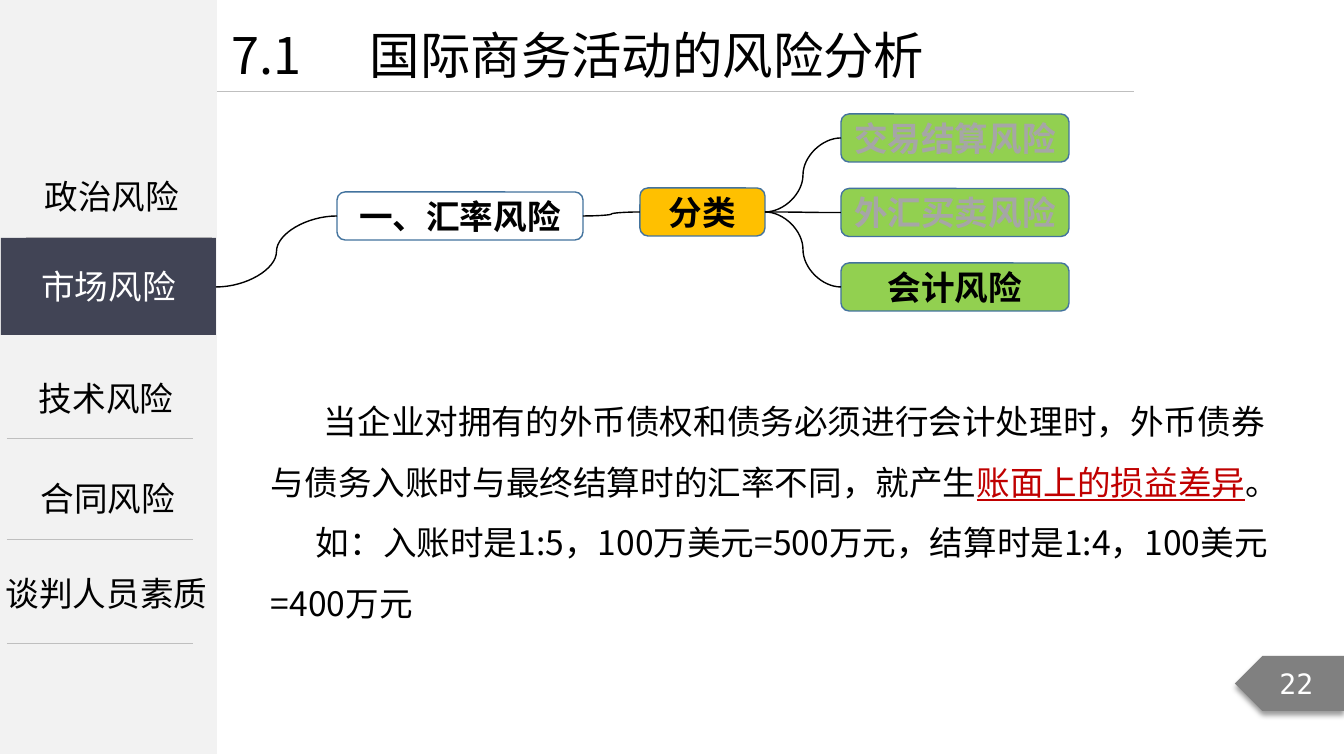
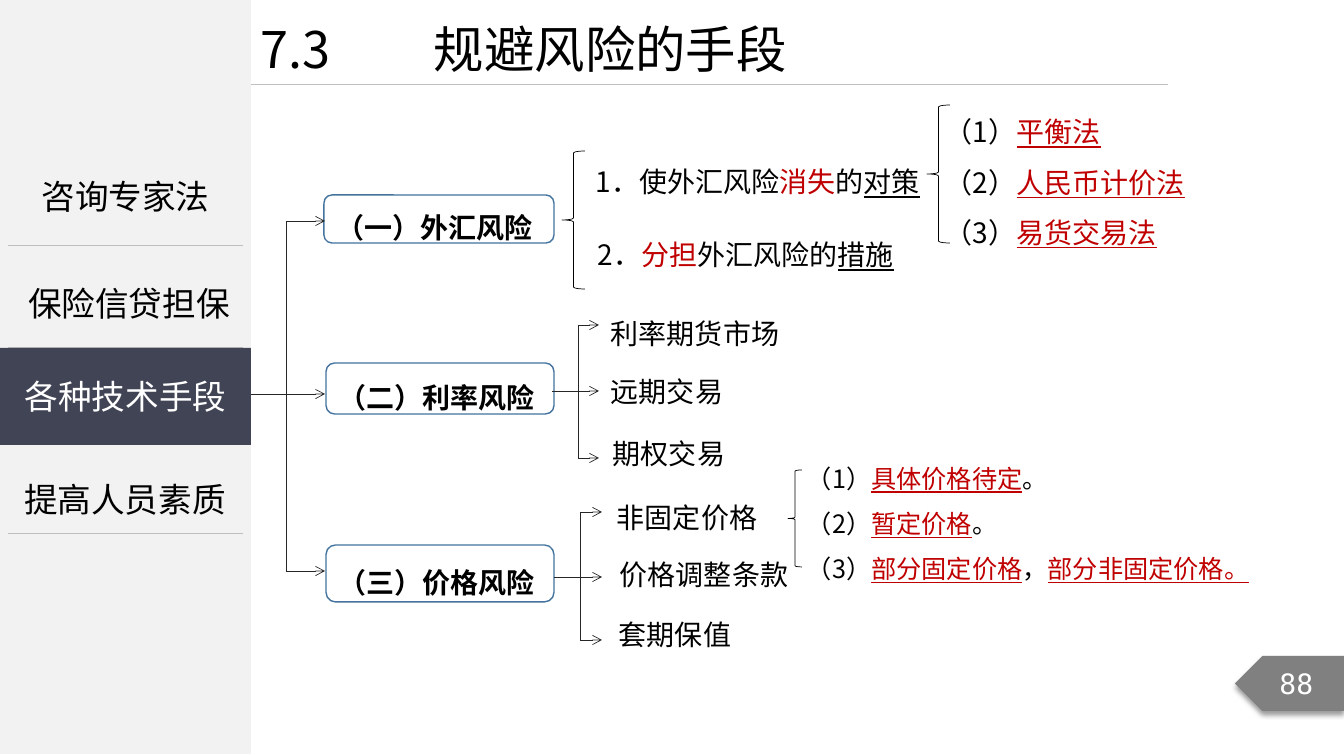
from lxml import etree
from pptx import Presentation
from pptx.dml.color import RGBColor
from pptx.enum.shapes import MSO_CONNECTOR, MSO_SHAPE
from pptx.enum.text import MSO_ANCHOR, MSO_AUTO_SIZE, PP_ALIGN
from pptx.oxml.ns import qn
from pptx.util import Emu, Pt

RECTANGLE = MSO_SHAPE.RECTANGLE
ROUNDED = MSO_SHAPE.ROUNDED_RECTANGLE
PENTAGON = MSO_SHAPE.PENTAGON
LEFT_BRACE = MSO_SHAPE.LEFT_BRACE
STRAIGHT = MSO_CONNECTOR.STRAIGHT
CURVE = MSO_CONNECTOR.CURVE
LEFT, CENTER = PP_ALIGN.LEFT, PP_ALIGN.CENTER
MIDDLE, TOP = MSO_ANCHOR.MIDDLE, MSO_ANCHOR.TOP
GROW = MSO_AUTO_SIZE.SHAPE_TO_FIT_TEXT

SCALE = 914400 / 100.8
FONT = "Noto Sans CJK SC"
NUMBER_FONT = "DejaVu Sans Mono"
COLORS = {
    "black": "000000", "white": "FFFFFF", "red": "C00000", "faded": "A6A6A6",
    "sidebar": "F2F2F2", "active": "414455", "rule": "BFBFBF", "tree": "262626",
    "badge": "808080", "outline": "43739E", "amber": "FFC000", "green": "92D050",
}


def px(value):
    return Emu(round(value * SCALE))


def rgb(name):
    return RGBColor.from_string(COLORS[name])


def red(text):
    return text, "red", False


def key(text):
    return text, "red", True


def under(text):
    return text, "black", True


class Deck:
    def __init__(self):
        self.presentation = Presentation()
        self.presentation.slide_width = px(1344)
        self.presentation.slide_height = px(756)
        self.slide = None

    def start(self, sidebar_width, number, title, title_box, tab, rule_y):
        layout = self.presentation.slide_layouts[6]
        self.slide = self.presentation.slides.add_slide(layout)
        self.shape(RECTANGLE, (0, 0, sidebar_width, 754), "sidebar")
        self.line((sidebar_width, rule_y), (sidebar_width + 917, rule_y), "rule")
        self.badge(number)
        self.text(title_box, [[title]], 36, tab=tab)

    def shape(self, kind, box, fill=None, line=None, weight=1):
        shape = self.slide.shapes.add_shape(kind, *map(px, box))
        shape.shadow.inherit = False
        if fill:
            shape.fill.solid()
            shape.fill.fore_color.rgb = rgb(fill)
        else:
            shape.fill.background()
        if line:
            shape.line.color.rgb = rgb(line)
            shape.line.width = Pt(weight)
        else:
            shape.line.fill.background()
        return shape

    def fill_frame(self, frame, paragraphs, size, color="black", bold=False, align=LEFT,
                   spacing=1.0, font=FONT, tab=None, indents=()):
        frame.word_wrap = True
        for index, runs in enumerate(paragraphs):
            paragraph = frame.paragraphs[0] if index == 0 else frame.add_paragraph()
            paragraph.alignment = align
            paragraph.line_spacing = spacing
            properties = paragraph._p.get_or_add_pPr()
            if indents:
                properties.set("marL", "0")
                properties.set("indent", str(px(indents[index])))
            if tab:
                stops = etree.SubElement(properties, qn("a:tabLst"))
                etree.SubElement(stops, qn("a:tab"), pos=str(px(tab)), algn="l")
            for item in runs:
                text, tone, underline = (item, color, False) if isinstance(item, str) else item
                run = paragraph.add_run()
                run.text = text
                run.font.size = Pt(size)
                run.font.bold = bold
                run.font.underline = underline
                run.font.color.rgb = rgb(tone)
                run.font.name = font
                etree.SubElement(run._r.get_or_add_rPr(), qn("a:ea"), typeface=font)

    def text(self, box, paragraphs, size, **style):
        frame = self.slide.shapes.add_textbox(*map(px, box)).text_frame
        frame.auto_size = GROW
        frame.vertical_anchor = TOP
        self.fill_frame(frame, paragraphs, size, **style)

    def label(self, box, text, size=24, fill=None, line="outline", kind=ROUNDED, **style):
        frame = self.shape(kind, box, fill, line).text_frame
        frame.vertical_anchor = MIDDLE
        self.fill_frame(frame, [[text]], size, **style)

    def menu(self, box, text, spacing=1.0):
        self.text(box, [[text]], 24, align=CENTER, spacing=spacing)

    def active(self, box, text):
        self.label(box, text, fill="active", line=None, kind=RECTANGLE,
                   color="white", align=CENTER)

    def badge(self, number):
        shape = self.shape(PENTAGON, (1235, 656, 109, 55), "badge")
        properties = shape._element.spPr
        properties.find(qn("a:xfrm")).set("flipH", "1")
        shadow = etree.SubElement(properties.find(qn("a:effectLst")), qn("a:outerShdw"),
                                  blurRad=str(Pt(4)), dist=str(Pt(3)), dir="5400000",
                                  algn="t", rotWithShape="0")
        color = etree.SubElement(shadow, qn("a:srgbClr"), val=COLORS["black"])
        etree.SubElement(color, qn("a:alpha"), val="40000")
        frame = shape.text_frame
        frame.vertical_anchor = MIDDLE
        self.fill_frame(frame, [[number]], 20, "white", align=CENTER, font=NUMBER_FONT)

    def line(self, start, end, color, weight=0.5, kind=STRAIGHT, arrow=False):
        connector = self.slide.shapes.add_connector(kind, *map(px, start + end))
        connector.line.color.rgb = rgb(color)
        connector.line.width = Pt(weight)
        properties = connector._element.spPr
        if arrow:
            etree.SubElement(properties.find(qn("a:ln")), qn("a:tailEnd"), type="arrow")
        etree.SubElement(properties, qn("a:effectLst"))

    def curve(self, start, end):
        self.line(start, end, "black", 1, CURVE)

    def brace(self, box):
        self.shape(LEFT_BRACE, box, line="black", weight=0.5)

    def tree(self, root, spine, tip, levels):
        self.line((spine, levels[0]), (spine, levels[-1]), "tree")
        self.line((root, levels[1]), (spine, levels[1]), "tree")
        for level in levels:
            self.line((spine, level), (tip, level), "tree", arrow=True)


deck = Deck()

deck.start(217, "22", "7.1\t国际商务活动的风险分析", (222, 19, 975, 72), 138, 91)
for left, y in ((26, 237), (7, 438), (7, 539), (7, 643)):
    deck.line((left, y), (left + 186, y), "rule")
deck.menu((20, 171, 184, 50), "政治风险")
deck.active((1, 238, 215, 97), "市场风险")
deck.menu((14, 353, 184, 64), "技术风险", 1.5)
deck.menu((16, 453, 184, 72), "合同风险", 1.5)
deck.menu((-5, 568, 223, 50), "谈判人员素质")

deck.label((337, 192, 246, 48), "一、汇率风险", bold=True, align=CENTER)
deck.label((640, 188, 125, 48), "分类", fill="amber", bold=True, align=CENTER)
deck.curve((216, 287), (337, 216))
deck.curve((583, 216), (640, 212))
for row, (risk, color) in enumerate((("交易结算风险", "faded"), ("外汇买卖风险", "faded"),
                                     ("会计风险", "black"))):
    top = 114 + 74.5 * row
    deck.label((841, top, 228, 48), risk, fill="green", color=color, bold=True, align=CENTER)
    deck.curve((765, 212), (841, top + 24))
deck.text((261, 376, 1029, 254), [
    ["当企业对拥有的外币债权和债务必须进行会计处理时，外币债券与债务入账时与最终结算时的汇率不同，就产生",
     key("账面上的损益差异"), "。"],
    ["如：入账时是1:5，100万美元=500万元，结算时是1:4，100美元=400万元"],
], 24, spacing=1.5, indents=(53, 45))

deck.start(251, "88", "7.3\t规避风险的手段", (251, 13, 711, 72), 173, 84)
for y in (245, 347, 533):
    deck.line((8, y), (243, y), "rule")
deck.menu((-1, 171, 253, 50), "咨询专家法")
deck.menu((-2, 258, 262, 64), "保险信贷担保", 1.5)
deck.menu((-6, 454, 262, 64), "提高人员素质", 1.5)

for box, risk in (((324, 195, 230, 48), "（一）外汇风险"),
                  ((326, 363, 228, 51), "（二）利率风险"),
                  ((326, 545, 228, 57), "（三）价格风险")):
    deck.label(box, risk, 20, bold=True, spacing=1.5)
deck.tree(246, 286, 325, (221, 394, 571))
deck.tree(552, 578, 599, (325, 391, 458))
deck.tree(554, 580, 602, (512, 577, 640))
deck.active((0, 348, 251, 97), "各种技术手段")

for box in ((562, 151, 23, 138), (927, 105, 23, 138), (788, 470, 14, 97)):
    deck.brace(box)
deck.text((586, 143, 358, 61),
          [["1．使外汇风险", red("消失"), "的", under("对策")]], 20, spacing=1.5)
deck.text((588, 233, 320, 78),
          [["2．", red("分担"), "外汇风险的", under("措施")]], 20)
for left, top, width, method in ((601, 312, 190, "利率期货市场"), (601, 370, 133, "远期交易"),
                                 (603, 432, 133, "期权交易"), (607, 496, 161, "非固定价格"),
                                 (610, 553, 190, "价格调整条款"), (609, 613, 133, "套期保值")):
    deck.text((left, top, width, 44), [[method]], 20)
deck.text((935, 93, 294, 163), [
    ["（1）", key("平衡法")],
    ["（2）", key("人民币计价法")],
    ["（3）", key("易货交易法\t")],
], 20, spacing=1.5, tab=257)
deck.text((797, 443, 480, 147), [
    ["（1）", key("具体价格待定"), "。"],
    ["（2）", key("暂定价格"), "。"],
    ["（3）", key("部分固定价格"), "，", key("部分非固定价格。")],
], 18, spacing=1.5)

deck.presentation.save("out.pptx")
